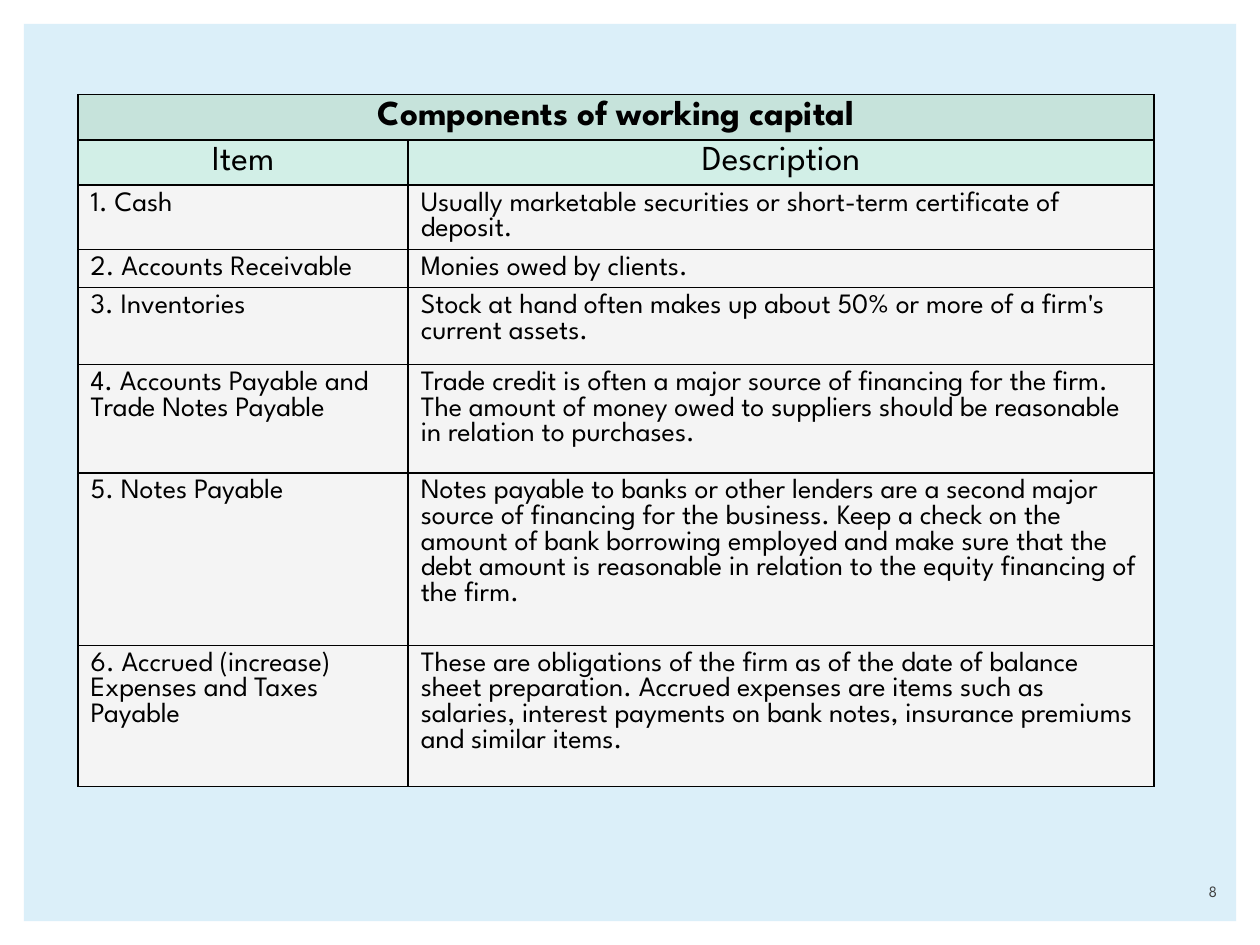
import pptx
import pptx.util
import pptx.dml.color
import pptx.enum.shapes
import pptx.enum.text
import pptx.oxml

Inches, Pt = pptx.util.Inches, pptx.util.Pt
RGBColor = pptx.dml.color.RGBColor
ALIGN = pptx.enum.text.PP_ALIGN

FONT = "League Spartan"
BLACK = RGBColor(0x00, 0x00, 0x00)
GRAY = RGBColor(0x40, 0x40, 0x40)
PALE_BLUE = RGBColor(0xDB, 0xEF, 0xF9)
GREEN = RGBColor(0xC6, 0xE3, 0xDB)
MINT = RGBColor(0xD2, 0xEF, 0xE7)
LIGHT = RGBColor(0xF4, 0xF4, 0xF4)

TITLE = "Components of working capital"
HEADINGS = ("Item", "Description")
ITEMS = [
    ("1. Cash",
     "Usually marketable securities or short-term certificate of deposit."),
    ("2. Accounts Receivable", "Monies owed by clients."),
    ("3. Inventories",
     "Stock at hand often makes up about 50% or more of a firm's current assets."),
    ("4. Accounts Payable and Trade Notes Payable",
     "Trade credit is often a major source of financing for the firm. The amount of "
     "money owed to suppliers should be reasonable in relation to purchases."),
    ("5. Notes Payable",
     "Notes payable to banks or other lenders are a second major source of financing "
     "for the business. Keep a check on the amount of bank borrowing employed and make "
     "sure that the debt amount is reasonable in relation to the equity financing of "
     "the firm."),
    ("6. Accrued (increase) Expenses and Taxes Payable",
     "These are obligations of the firm as of the date of balance sheet preparation. "
     "Accrued expenses are items such as salaries, interest payments on bank notes, "
     "insurance premiums and similar items."),
]
ROWS = [(TITLE, ""), HEADINGS] + ITEMS
WIDTHS = (2.62, 5.92)
HEIGHTS = (0.36, 0.36, 0.51, 0.3, 0.61, 0.86, 1.37, 1.12)

TITLE_FORMAT = {"size": Pt(20), "bold": True}
HEADING_FORMAT = {"size": Pt(20), "bold": False}
ITEM_FORMAT = {"size": Pt(16), "bold": False}
STYLES = [(GREEN, ALIGN.CENTER, TITLE_FORMAT), (MINT, ALIGN.CENTER, HEADING_FORMAT)]
STYLES += [(LIGHT, ALIGN.LEFT, ITEM_FORMAT)] * len(ITEMS)

BORDER = (
    '<a:{side} xmlns:a="http://schemas.openxmlformats.org/drawingml/2006/main" '
    'w="12700"><a:solidFill><a:srgbClr val="{color}"/></a:solidFill></a:{side}>'
)


def write(tf, text, align, color, values):
    p = tf.paragraphs[0]
    p.alignment = align
    r = p.add_run()
    r.text = text
    r.font.color.rgb = color
    for name, value in {"name": FONT, **values}.items():
        setattr(r.font, name, value)


def add_borders(cell):
    tcPr = cell._tc.get_or_add_tcPr()
    for side in ("lnL", "lnR", "lnT", "lnB"):
        tcPr.append(pptx.oxml.parse_xml(BORDER.format(side=side, color=BLACK)))


def add_components(slide):
    table = slide.shapes.add_table(
        len(ROWS), len(WIDTHS), Inches(0.62), Inches(0.75),
        Inches(sum(WIDTHS)), Inches(sum(HEIGHTS))).table
    for column, width in zip(table.columns, WIDTHS):
        column.width = Inches(width)
    for row, height, texts, style in zip(table.rows, HEIGHTS, ROWS, STYLES):
        row.height = Inches(height)
        fill, align, values = style
        for cell, text in zip(row.cells, texts):
            add_borders(cell)
            cell.fill.solid()
            cell.fill.fore_color.rgb = fill
            if text:
                write(cell.text_frame, text, align, BLACK, values)
    table.cell(0, 0).merge(table.cell(0, 1))


def main():
    prs = pptx.Presentation()
    prs.slide_width, prs.slide_height = Inches(10), Inches(7.5)
    slide = prs.slides.add_slide(prs.slide_layouts[6])

    sp = slide.shapes.add_shape(
        pptx.enum.shapes.MSO_SHAPE.RECTANGLE,
        Inches(0.19), Inches(0.19), Inches(9.62), Inches(7.12))
    sp.shadow.inherit = False
    sp.fill.solid()
    sp.fill.fore_color.rgb = PALE_BLUE
    sp.line.fill.background()

    add_components(slide)

    tf = slide.shapes.add_textbox(
        Inches(8.56), Inches(6.9), Inches(1.2), Inches(0.3)).text_frame
    tf.word_wrap = True
    tf.vertical_anchor = pptx.enum.text.MSO_ANCHOR.BOTTOM
    write(tf, "8", ALIGN.RIGHT, GRAY, {"size": Pt(9)})

    prs.save("out.pptx")


if __name__ == "__main__":
    main()
